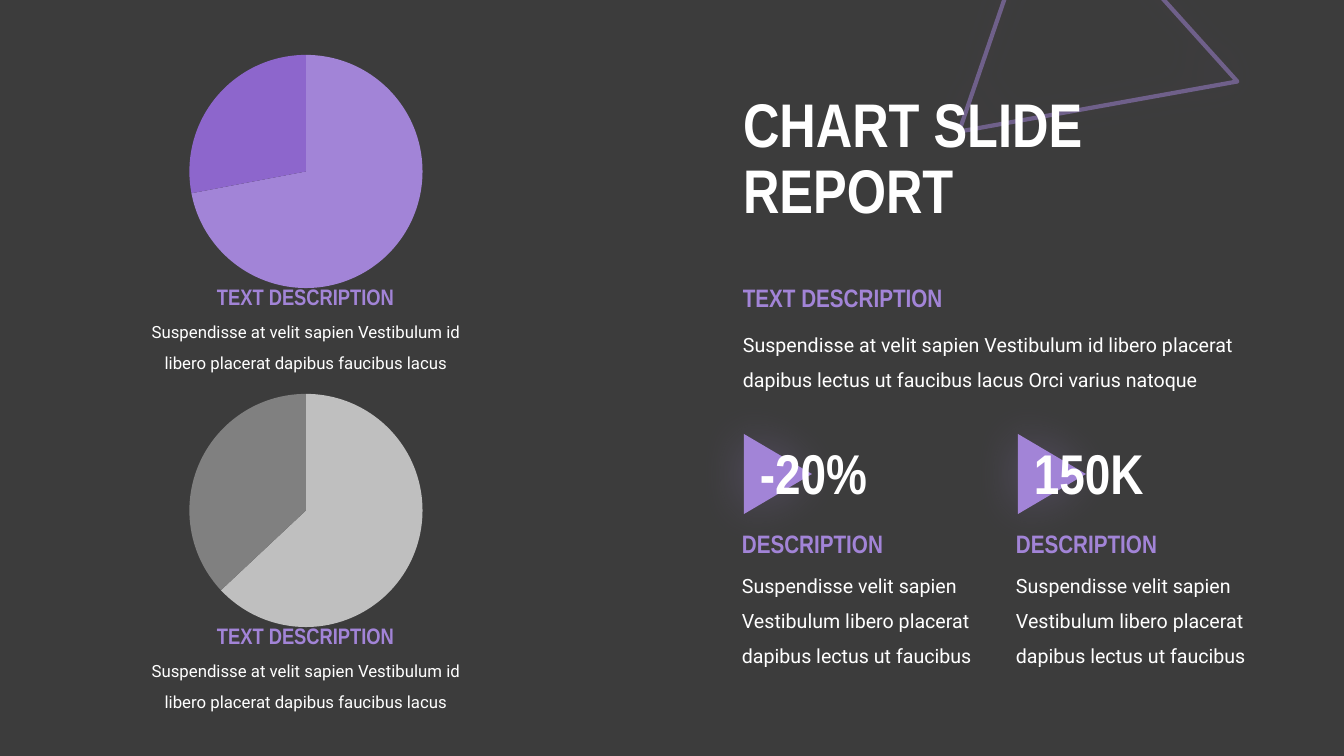
from lxml import etree
from pptx import Presentation
from pptx.chart.data import CategoryChartData
from pptx.dml.color import RGBColor
from pptx.enum.chart import XL_CHART_TYPE as CHART
from pptx.enum.shapes import MSO_SHAPE as SHAPE
from pptx.enum.text import MSO_ANCHOR as ANCHOR, MSO_AUTO_SIZE as AUTO, PP_ALIGN as ALIGN
from pptx.oxml import parse_xml
from pptx.oxml.ns import nsdecls, qn
from pptx.util import Pt

PX = 914400 / 100.8
DARK = RGBColor(0x3C, 0x3C, 0x3C)
WHITE = RGBColor(0xFF, 0xFF, 0xFF)
PURPLE = RGBColor(0xA2, 0x84, 0xD7)
VIOLET = RGBColor(0x8D, 0x66, 0xCC)
SILVER = RGBColor(0xBF, 0xBF, 0xBF)
GRAY = RGBColor(0x80, 0x80, 0x80)
HEAD, BODY = "Arial Narrow", "Roboto"

# Content
TITLE = "CHART SLIDE\vREPORT"
PIES = [
    ((72, 28), (PURPLE, VIOLET)),
    ((63, 37), (SILVER, GRAY)),
]
PIE_HEAD = "TEXT DESCRIPTION"
PIE_TEXT = "Suspendisse at velit sapien Vestibulum id libero placerat dapibus faucibus lacus"
INTRO_HEAD = "TEXT DESCRIPTION"
INTRO_TEXT = ("Suspendisse at velit sapien Vestibulum id libero placerat "
              "dapibus lectus ut faucibus lacus Orci varius natoque")
FIGURES = ["-20%", "150K"]
FIGURE_HEAD = "DESCRIPTION"
FIGURE_TEXT = "Suspendisse velit sapien Vestibulum libero placerat dapibus lectus ut faucibus"

# Layout in px
PIE_LEFT, PIE_TOP, PIE_W, PIE_H, PIE_STEP = 131, 41, 350, 261, 339
FIGURE_LEFT, FIGURE_STEP = 732, 274


def box(*lengths):
    return [round(n * PX) for n in lengths]


def style(p, size, color, font, bold=False):
    p.font.size, p.font.name, p.font.bold = Pt(size), font, bold
    p.font.color.rgb = color


def add_text(text, at, size, color=WHITE, heading=False, align=ALIGN.LEFT):
    tf = slide.shapes.add_textbox(*box(*at)).text_frame
    tf.word_wrap = True
    tf.auto_size = AUTO.SHAPE_TO_FIT_TEXT
    p = tf.paragraphs[0]
    p.text, p.alignment = text, align
    p.line_spacing = 1.0 if heading else 1.5
    style(p, size, color, HEAD if heading else BODY, heading)


def set_alpha(fill, percent):
    clr = fill._xPr.find(".//" + qn("a:srgbClr"))
    etree.SubElement(clr, qn("a:alpha")).set("val", str(percent * 1000))


def add_triangle(at, rotation):
    sp = slide.shapes.add_shape(SHAPE.ISOSCELES_TRIANGLE, *box(*at))
    sp.rotation = rotation
    sp._element.spPr.append(parse_xml(
        f'<a:effectLst {nsdecls("a")}><a:outerShdw blurRad="{Pt(35)}" dist="0" dir="0" '
        f'algn="ctr" rotWithShape="0"><a:srgbClr val="{PURPLE}"><a:alpha val="25000"/>'
        '</a:srgbClr></a:outerShdw></a:effectLst>'))
    return sp


def add_pie(values, colors, at):
    data = CategoryChartData()
    data.categories = ["1", "2"]
    data.add_series("Series 1", values)
    chart = slide.shapes.add_chart(CHART.PIE, *box(*at), data).chart
    chart.has_legend = chart.has_title = False
    chart.font.size, chart.font.name = Pt(10), BODY
    chart.font.color.rgb = WHITE
    plot = chart.plots[0]
    plot.vary_by_categories = True
    for i, color in enumerate(colors):
        fill = plot.series[0].points[i].format.fill
        fill.solid()
        fill.fore_color.rgb = color


prs = Presentation()
prs.slide_width, prs.slide_height = box(1344, 756)
slide = prs.slides.add_slide(prs.slide_layouts[5])
slide.background.fill.solid()
slide.background.fill.fore_color.rgb = DARK

# Left panel
panel = slide.shapes.add_shape(SHAPE.RECTANGLE, *box(0, 0, 612, 756))
panel.shadow.inherit = False
panel.line.fill.background()
panel.fill.solid()
panel.fill.fore_color.rgb = DARK
set_alpha(panel.fill, 90)

# Outlined triangle behind the title
outline = add_triangle((983, -82, 275, 247), 108.9)
outline.fill.background()
outline.line.width = Pt(3)
outline.line.color.rgb = PURPLE
set_alpha(outline.line.fill, 50)

# Title, brought in front of the triangle
title = slide.shapes.title
title.left, title.top, title.width, title.height = box(733, 81, 567, 159)
slide.shapes._spTree.append(title._element)
tf = title.text_frame
tf.text = TITLE
tf.word_wrap = True
tf.auto_size = AUTO.NONE
tf.vertical_anchor = ANCHOR.MIDDLE
p = tf.paragraphs[0]
p.alignment, p.line_spacing = ALIGN.LEFT, 0.9
style(p, 44, WHITE, HEAD, True)

# Pies with captions
for i, (values, colors) in enumerate(PIES):
    top = PIE_TOP + i * PIE_STEP
    add_pie(values, colors, (PIE_LEFT, top, PIE_W, PIE_H))
    add_text(PIE_TEXT, (PIE_LEFT, top + 266, PIE_W, 68), 12, align=ALIGN.CENTER)
    add_text(PIE_HEAD, (PIE_LEFT + 51, top + 237, 247, 37), 16, PURPLE, True, ALIGN.CENTER)

# Introduction
add_text(INTRO_TEXT, (733, 316, 517, 78), 14)
add_text(INTRO_HEAD, (733, 277, 247, 40), 18, PURPLE, True)

# Key figures
for i, figure in enumerate(FIGURES):
    left = FIGURE_LEFT + i * FIGURE_STEP
    marker = add_triangle((left + 6, 440, 80, 68), 90)
    marker._element.spPr.find(qn("a:xfrm")).set("flipH", "1")
    marker.fill.solid()
    marker.fill.fore_color.rgb = PURPLE
    marker.line.fill.background()
    add_text(FIGURE_TEXT, (left, 557, 283, 113), 14)
    add_text(FIGURE_HEAD, (left, 523, 247, 40), 18, PURPLE, True)
    add_text(figure, (left + 18, 434, 180, 78), 40, WHITE, True)

prs.save("out.pptx")
